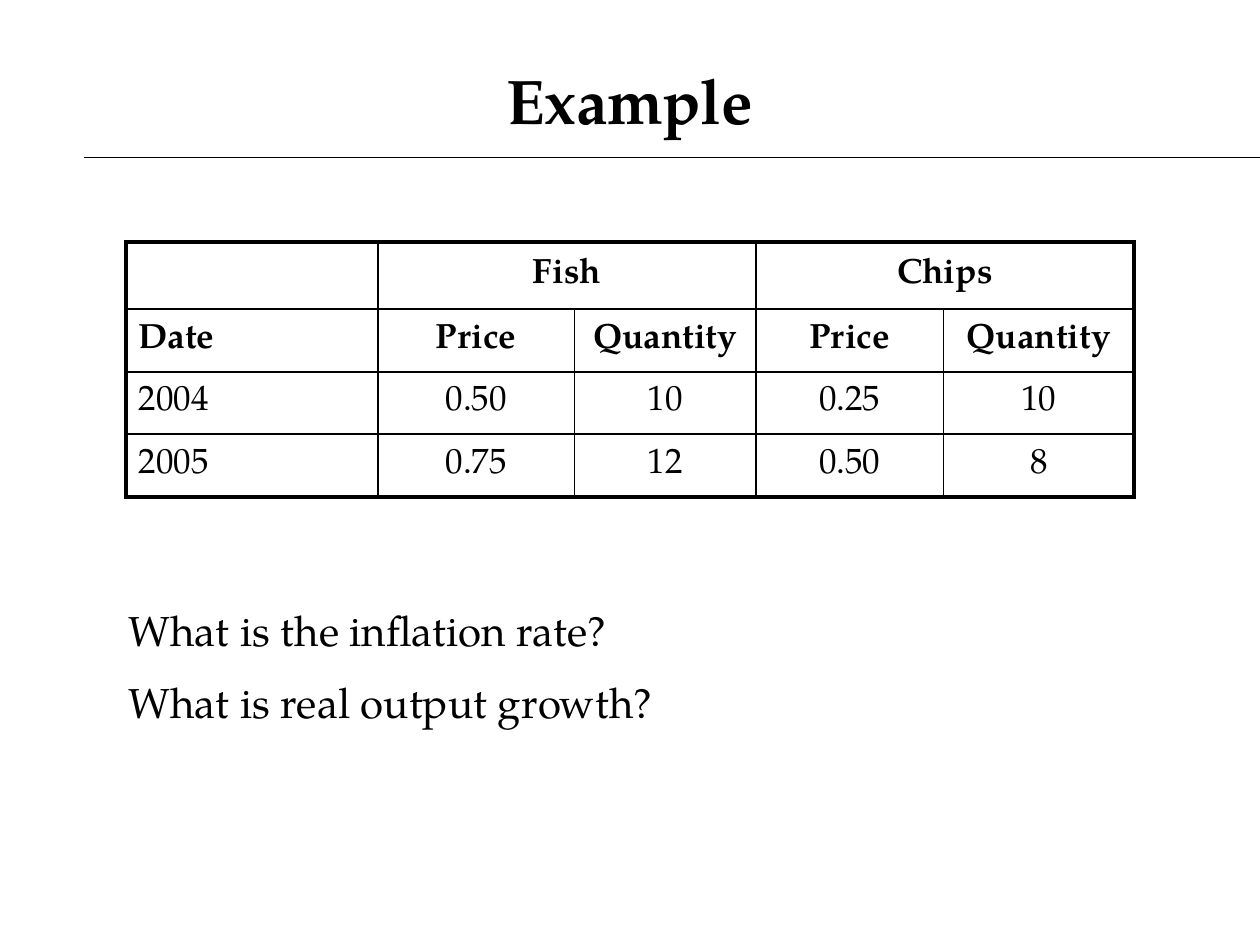
from lxml import etree
from pptx import Presentation
from pptx import util as u
from pptx.dml.color import RGBColor
from pptx.enum import shapes, text
from pptx.oxml import ns

BLACK = RGBColor(0x00, 0x00, 0x00)
FONT = "TeX Gyre Pagella"
THIN, THICK = 1, 2.25
COLUMNS = (5.08, 3.96, 3.66, 3.78, 3.84)
ROWS = (1.35, 1.27, 1.25, 1.27)
PRICES = (
    ("", "Fish", "", "Chips", ""),
    ("Date", "Price", "Quantity", "Price", "Quantity"),
    ("2004", "0.50", "10", "0.25", "10"),
    ("2005", "0.75", "12", "0.50", "8"),
)
QUESTIONS = ("What is the inflation rate?", "What is real output growth?")


def write(para, words, size, bold=False, align=text.PP_ALIGN.LEFT, before=0):
    """Write formatted words into a paragraph."""
    para.alignment = align
    para.space_before = u.Pt(before)
    span = para.add_run()
    span.text = words
    span.font.name = FONT
    span.font.size = u.Pt(size)
    span.font.bold = bold
    span.font.color.rgb = BLACK


def place(shape, left, top, width, height):
    """Set the box of a shape in centimetres."""
    shape.left, shape.top = u.Cm(left), u.Cm(top)
    shape.width, shape.height = u.Cm(width), u.Cm(height)


def add_heading(page, left, top, width, height):
    """Fill the title placeholder and rule a line along its lower edge."""
    title = page.shapes.title
    place(title, left, top, width, height)
    title.text_frame.vertical_anchor = text.MSO_ANCHOR.MIDDLE
    write(title.text_frame.paragraphs[0], "Example", 36, True, text.PP_ALIGN.CENTER)
    base = u.Cm(top + height)
    rule = page.shapes.add_connector(
        shapes.MSO_CONNECTOR.STRAIGHT, u.Cm(left + 0.42), base, u.Cm(25.4), base)
    rule.line.color.rgb = BLACK
    rule.line.width = u.Pt(0.75)
    etree.SubElement(rule._element.spPr, ns.qn("a:effectLst"))


def draw_borders(cell, widths):
    """Draw the left, right, top and bottom borders of a cell."""
    properties = cell._tc.get_or_add_tcPr()
    for index, (side, width) in enumerate(zip("LRTB", widths)):
        line = etree.Element(ns.qn(f"a:ln{side}"), w=str(u.Pt(width)))
        fill = etree.SubElement(line, ns.qn("a:solidFill"))
        etree.SubElement(fill, ns.qn("a:srgbClr"), val=str(BLACK))
        properties.insert(index, line)


def add_price_table(page, left, top):
    """Add the table of prices and quantities with a thick outer frame."""
    table = page.shapes.add_table(
        len(ROWS), len(COLUMNS), u.Cm(left), u.Cm(top),
        u.Cm(sum(COLUMNS)), u.Cm(sum(ROWS))).table
    table.first_row = table.horz_banding = False
    for column, width in zip(table.columns, COLUMNS):
        column.width = u.Cm(width)
    for row, height in zip(table.rows, ROWS):
        row.height = u.Cm(height)
    for first in (1, 3):
        table.cell(0, first).merge(table.cell(0, first + 1))
    last_row, last_column = len(ROWS) - 1, len(COLUMNS) - 1
    for r, values in enumerate(PRICES):
        for c, value in enumerate(values):
            cell = table.cell(r, c)
            cell.fill.background()
            cell.vertical_anchor = text.MSO_ANCHOR.MIDDLE
            end = c + cell.span_width - 1 if cell.is_merge_origin else c
            outer = (c == 0, end == last_column, r == 0, r == last_row)
            draw_borders(cell, [THICK if edge else THIN for edge in outer])
            if value:
                align = text.PP_ALIGN.CENTER if c else text.PP_ALIGN.LEFT
                write(cell.text_frame.paragraphs[0], value, 20, r < 2, align)


def add_questions(page, left, top, width, height):
    """Add the questions as separate paragraphs of one text box."""
    box = page.shapes.add_textbox(u.Cm(left), u.Cm(top), u.Cm(width), u.Cm(height))
    frame = box.text_frame
    frame.word_wrap = True
    frame.auto_size = text.MSO_AUTO_SIZE.SHAPE_TO_FIT_TEXT
    for index, question in enumerate(QUESTIONS):
        para = frame.add_paragraph() if index else frame.paragraphs[0]
        write(para, question, 24, before=12 if index else 0)


def main():
    """Build the slide and save the deck."""
    deck = Presentation()
    deck.slide_width, deck.slide_height = u.Cm(25.4), u.Cm(19.05)
    page = deck.slides.add_slide(deck.slide_layouts[5])
    add_heading(page, 1.27, 0.84, 22.86, 2.34)
    add_price_table(page, 2.54, 4.88)
    add_questions(page, 2.34, 12.07, 18.42, 2.79)
    deck.save("out.pptx")


if __name__ == "__main__":
    main()
